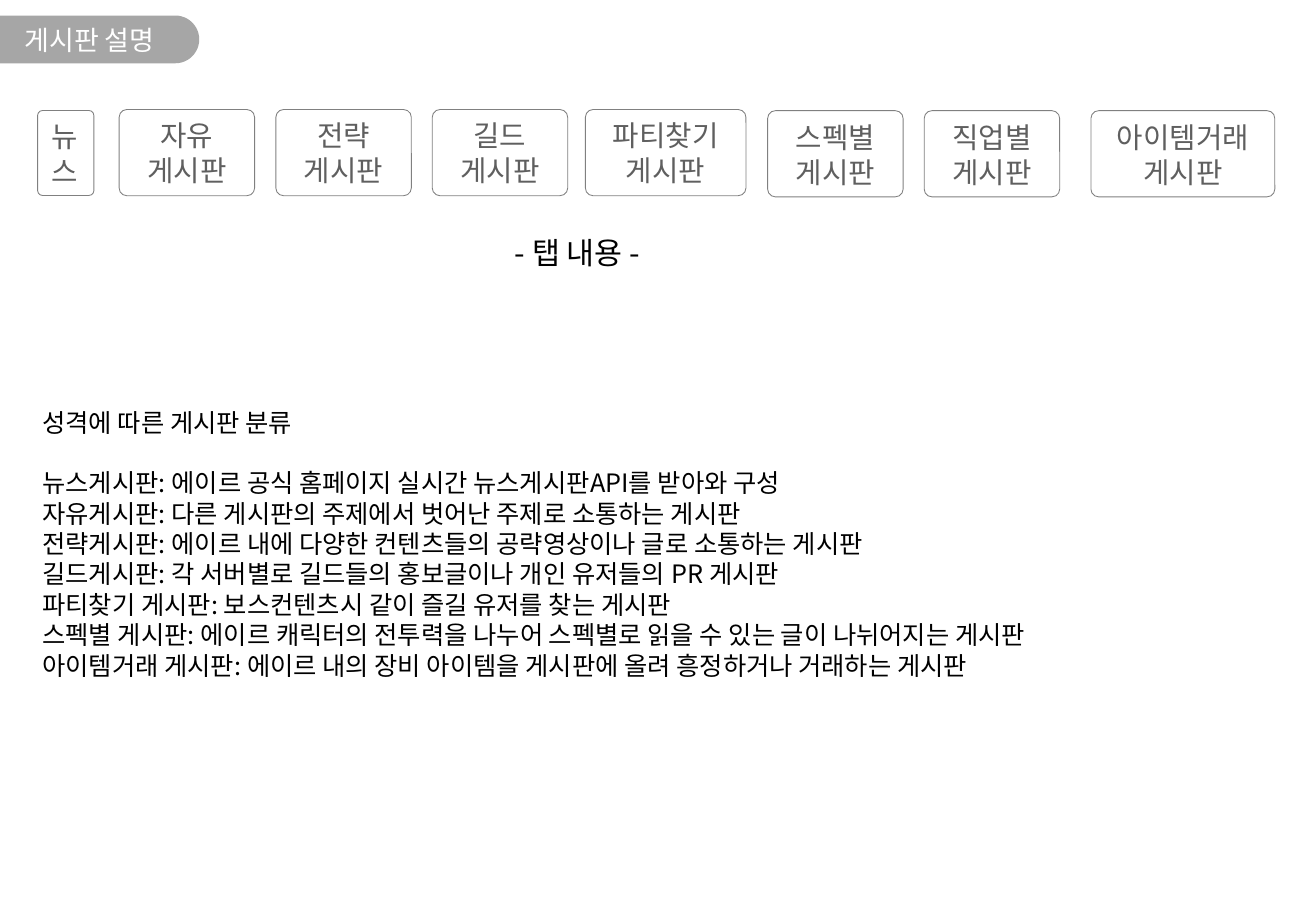
from pptx import Presentation
from pptx.dml.color import RGBColor
from pptx.enum.shapes import MSO_SHAPE
from pptx.enum.text import MSO_ANCHOR, PP_ALIGN
from pptx.util import Pt
from lxml.etree import SubElement
from pptx.oxml.ns import qn

WHITE = RGBColor(0xFF, 0xFF, 0xFF)
BLACK = RGBColor(0, 0, 0)
PILL_GRAY = RGBColor(0xA6, 0xA6, 0xA6)
BORDER_GRAY = RGBColor(0x80, 0x80, 0x80)
TAB_GRAY = RGBColor(0x5F, 0x5F, 0x5F)
HANGUL_FONT = "Noto Sans CJK KR"
TAB_FONT = "Karla"

TITLE = "게시판 설명"
TAB_CAPTION = "- 탭 내용 -"
TABS = [
    ("뉴스", 22.3, 65.5, 33.4, 50.4),
    ("자유\n게시판", 70.6, 64.9, 80.3, 51.1),
    ("전략\n게시판", 163.5, 64.9, 80.3, 51.1),
    ("길드\n게시판", 256.2, 64.9, 80.3, 51.1),
    ("파티찾기\n게시판", 347, 64.9, 95.2, 51.1),
    ("스펙별\n게시판", 455, 65.6, 80.3, 51.1),
    ("직업별\n게시판", 547.8, 65.6, 80.3, 51.1),
    ("아이템거래\n게시판", 646.6, 65.6, 109, 51.1),
]
HEADING = "성격에 따른 게시판 분류"
BOARDS = [
    ("뉴스게시판", "에이르 공식 홈페이지 실시간 뉴스게시판API를 받아와 구성"),
    ("자유게시판", "다른 게시판의 주제에서 벗어난 주제로 소통하는 게시판"),
    ("전략게시판", "에이르 내에 다양한 컨텐츠들의 공략영상이나 글로 소통하는 게시판"),
    ("길드게시판", "각 서버별로 길드들의 홍보글이나 개인 유저들의 PR 게시판"),
    ("파티찾기 게시판", "보스컨텐츠시 같이 즐길 유저를 찾는 게시판"),
    ("스펙별 게시판", "에이르 캐릭터의 전투력을 나누어 스펙별로 읽을 수 있는 글이 나뉘어지는 게시판"),
    ("아이템거래 게시판", "에이르 내의 장비 아이템을 게시판에 올려 흥정하거나 거래하는 게시판"),
]


def write(frame, text, size, color, pitch, align=PP_ALIGN.LEFT, font=HANGUL_FONT):
    frame.text = text
    for paragraph in frame.paragraphs:
        paragraph.alignment = align
        paragraph.line_spacing = Pt(pitch)
        for run in paragraph.runs:
            run.font.size = Pt(size)
            run.font.color.rgb = color
            run.font.name = font
            east_asian = SubElement(run.font._element, qn("a:ea"))
            east_asian.set("typeface", HANGUL_FONT)


def add_text(slide, left, top, width, height, wrap=True):
    frame = slide.shapes.add_textbox(Pt(left), Pt(top), Pt(width), Pt(height)).text_frame
    frame.word_wrap = wrap
    return frame


def add_box(slide, kind, left, top, width, height, fill):
    box = slide.shapes.add_shape(kind, Pt(left), Pt(top), Pt(width), Pt(height))
    box.shadow.inherit = False
    box.fill.solid()
    box.fill.fore_color.rgb = fill
    return box


def main():
    deck = Presentation()
    deck.slide_width, deck.slide_height = Pt(780), Pt(540)
    slide = deck.slides.add_slide(deck.slide_layouts[6])

    pill = add_box(slide, MSO_SHAPE.ROUND_2_SAME_RECTANGLE, 44.8, -35.8, 28.3, 118.3, PILL_GRAY)
    pill.rotation = 270
    pill.adjustments[0], pill.adjustments[1] = 0, 0.5
    pill.line.fill.background()

    title = add_text(slide, -0.5, 9.4, 107.3, 28.1)
    title.vertical_anchor = MSO_ANCHOR.MIDDLE
    write(title, TITLE, 16, WHITE, 19.2, PP_ALIGN.CENTER)

    for label, left, top, width, height in TABS:
        tab = add_box(slide, MSO_SHAPE.ROUNDED_RECTANGLE, left, top, width, height, WHITE)
        tab.adjustments[0] = 0.09
        tab.line.color.rgb = BORDER_GRAY
        tab.line.width = Pt(0.5)
        tab.text_frame.vertical_anchor = MSO_ANCHOR.MIDDLE
        align = PP_ALIGN.CENTER if "\n" in label else PP_ALIGN.LEFT
        write(tab.text_frame, label, 17, TAB_GRAY, 20.8, align, TAB_FONT)

    boards = add_text(slide, 22.3, 241.2, 679.7, 233.3)
    boards.margin_left = boards.margin_right = Pt(2.9)
    boards.margin_top = boards.margin_bottom = Pt(0)
    lines = [HEADING] + [f"{name}: {purpose}" for name, purpose in BOARDS]
    write(boards, "\n".join(lines), 15, BLACK, 18)
    boards.paragraphs[0].space_after = Pt(18)

    caption = add_text(slide, 298.1, 135.4, 103, 28.8, wrap=False)
    write(caption, TAB_CAPTION, 18, BLACK, 21.6)

    deck.save("out.pptx")


if __name__ == "__main__":
    main()
